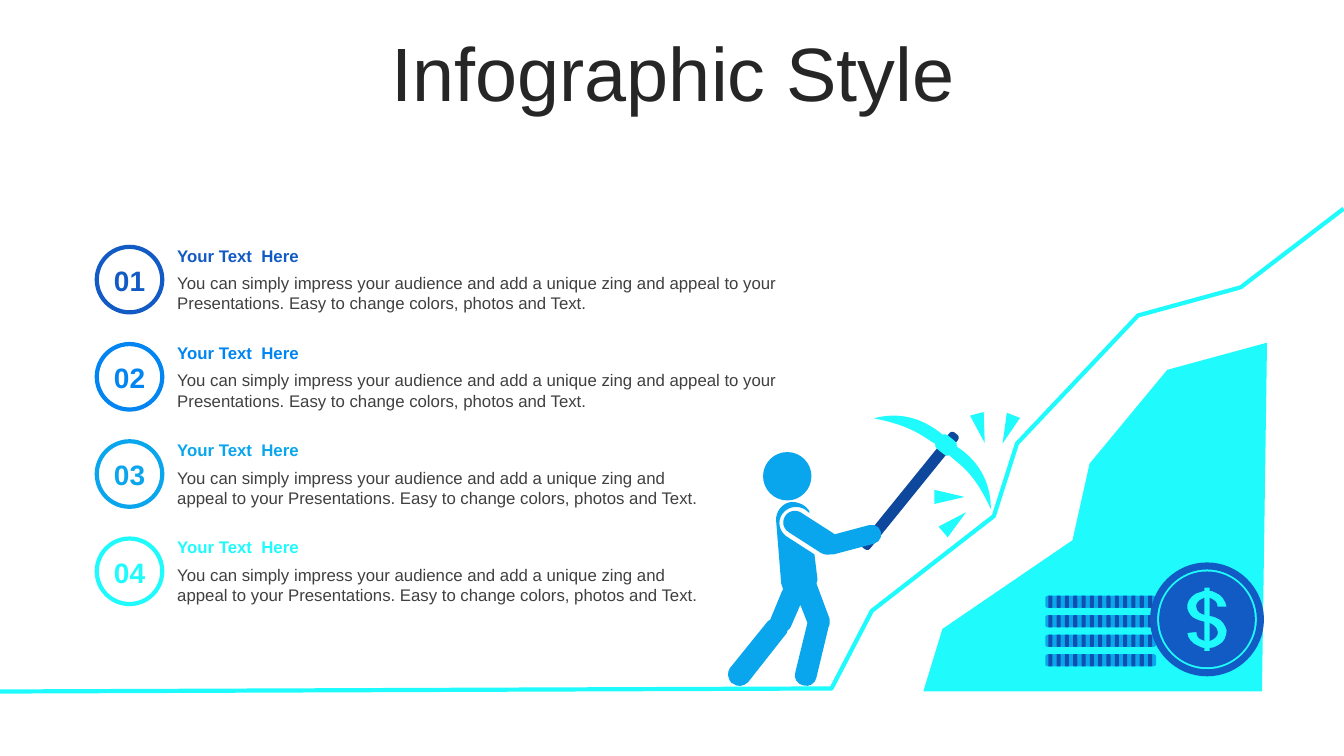
from lxml import etree
from pptx import Presentation
from pptx.dml.color import RGBColor
from pptx.enum.shapes import MSO_SHAPE
from pptx.enum.text import MSO_ANCHOR, MSO_AUTO_SIZE, PP_ALIGN
from pptx.oxml.ns import qn
from pptx.util import Inches, Pt

# Grid: square cells, 750 rows on a 16:9 slide
CELL = Inches(0.01)
ROWS = 750
COLS = ROWS * 16 / 9

NAVY = RGBColor(0x0E, 0x48, 0x9D)
RIDGE_BLUE = RGBColor(0x10, 0x51, 0xB0)
ROYAL = RGBColor(0x12, 0x5A, 0xC4)
AZURE = RGBColor(0x00, 0x85, 0xF2)
SKY = RGBColor(0x0A, 0xA6, 0xED)
CYAN = RGBColor(0x1F, 0xFB, 0xFD)
TITLE_GREY = RGBColor(0x26, 0x26, 0x26)
TEXT_GREY = RGBColor(0x40, 0x40, 0x40)

HEADING = "Your Text  Here"
BODY = ("You can simply impress your audience and add a unique zing and appeal "
        "to your Presentations. Easy to change colors, photos and Text.")


def cells(*values):
    return [round(v * CELL) for v in values]


def paint(sp, fill=None, line=None):
    """Set fill and 3 pt outline; None leaves the part empty."""
    sp.shadow.inherit = False
    if fill is None:
        sp.fill.background()
    else:
        sp.fill.solid()
        sp.fill.fore_color.rgb = fill
    if line is None:
        sp.line.fill.background()
    else:
        sp.line.color.rgb = line
        sp.line.width = Pt(3)


def add_preset(s, kind, box, fill=None, line=None, turn=0, round_by=None):
    sp = s.shapes.add_shape(kind, *cells(*box))
    if round_by is not None:
        sp.adjustments[0] = round_by
    sp.rotation = turn
    paint(sp, fill, line)


def write(p, text, size, color, bold=False):
    r = p.add_run()
    r.text = text
    r.font.name, r.font.size, r.font.bold = "Arial", Pt(size), bold
    r.font.color.rgb = color


def add_text(s, box, text, size, color, bold=False, align=PP_ALIGN.LEFT):
    tf = s.shapes.add_textbox(*cells(*box)).text_frame
    tf.word_wrap = True
    tf.auto_size = MSO_AUTO_SIZE.SHAPE_TO_FIT_TEXT
    tf.paragraphs[0].alignment = align
    write(tf.paragraphs[0], text, size, color, bold)


def circle(cx, cy, r):
    """Four quarter curves, clockwise from the top."""
    k = 0.55 * r
    return [(cx, cy - r), (cx + k, cy - r, cx + r, cy - k, cx + r, cy),
            (cx + r, cy + k, cx + k, cy + r, cx, cy + r),
            (cx - k, cy + r, cx - r, cy + k, cx - r, cy),
            (cx - r, cy - k, cx - k, cy - r, cx, cy - r)]


def add_outline(s, box, contours, fill=None, line=None):
    """Contours hold points (x, y) and curves (x1, y1, x2, y2, x, y)."""
    x, y = box[:2]
    builder = None
    for contour in contours:
        ends = [cells(x + step[-2], y + step[-1]) for step in contour]
        if builder is None:
            builder = s.shapes.build_freeform(*ends[0])
        else:
            builder.move_to(*ends[0])
        builder.add_line_segments(ends[1:], close=fill is not None)
    sp = builder.convert_to_shape()
    paint(sp, fill, line)
    # Bend the segments that have control points
    segments = list(sp.element.iter(qn("a:lnTo")))
    steps = [step for contour in contours for step in contour[1:]]
    for segment, step in zip(segments, steps):
        if len(step) == 6:
            curve = etree.Element(qn("a:cubicBezTo"))
            for px, py in zip(step[::2], step[1::2]):
                left, top = cells(x + px, y + py)
                etree.SubElement(curve, qn("a:pt"), x=str(left - sp.left), y=str(top - sp.top))
            segment.getparent().replace(segment, curve)


def add_title(s, box):
    sp = s.shapes.title
    sp.left, sp.top, sp.width, sp.height = cells(*box)
    tf = sp.text_frame
    tf.auto_size = MSO_AUTO_SIZE.NONE
    tf.vertical_anchor = MSO_ANCHOR.MIDDLE
    p = tf.paragraphs[0]
    p.alignment, p.line_spacing = PP_ALIGN.CENTER, 0.9
    write(p, "Infographic Style", 54, TITLE_GREY)


def add_item(s, box, number, color):
    x, y, w, h = box
    add_preset(s, MSO_SHAPE.OVAL, (x, y + 6.5, 65, 65), line=color)
    add_text(s, (x + 7, y + 18, 51, 44), number, 20, color, True, PP_ALIGN.CENTER)
    add_text(s, (x + 70, y, w - 70, 30), HEADING, 12, color, True)
    add_text(s, (x + 70, y + 27.5, w - 70, h - 28), BODY, 12, TEXT_GREY)


def add_mountain(s, box):
    # Ground and slope line, then the rock inside
    add_outline(s, box, [[(0, 486), (825, 483), (865, 406), (986, 312), (1009, 240),
                          (1129, 113), (1231, 85), (1333, 7)]], line=CYAN)
    add_outline(s, box, [[(1257, 140), (1158, 167), (1081, 260), (1064, 336),
                          (935, 424), (916, 486), (1252, 486)]], fill=CYAN)


def add_pickaxe(s, box):
    x, y = box[:2]
    add_preset(s, MSO_SHAPE.ROUNDED_RECTANGLE, (x + 97, y + 14, 11, 146), NAVY,
               turn=39, round_by=0.34)
    add_preset(s, MSO_SHAPE.ROUNDED_RECTANGLE, (x + 129, y + 33, 19, 17), CYAN,
               turn=39, round_by=0.28)
    # Lower and upper blades
    add_outline(s, box, [[(149, 43), (162, 51, 183, 70, 183, 105),
                          (166, 68, 153, 62, 142, 52)]], fill=CYAN)
    add_outline(s, box, [[(136, 32), (124, 22, 101, 6, 67, 15),
                          (107, 23, 116, 34, 129, 41)]], fill=CYAN)


def add_miner(s, box):
    x, y = box[:2]
    body = [(85, 98), (93, 98, 99, 101, 103, 107), (103, 109), (98, 105),
            (90, 101, 81, 103, 76, 110), (71, 117, 73, 127, 80, 132),
            (108, 150), (111, 175), (110, 179), (123, 214),
            (123, 215, 123, 217, 123, 218), (123, 219, 123, 221, 122, 222),
            (110, 272), (109, 278, 103, 282, 97, 280), (91, 279, 87, 273, 89, 267),
            (101, 218), (94, 200), (84, 223), (81, 226),
            (81, 228, 80, 229, 79, 230), (42, 277), (38, 281, 31, 282, 27, 278),
            (26, 278), (22, 274, 21, 267, 24, 263), (62, 216), (64, 215),
            (76, 186), (77, 185), (75, 179), (70, 117), (69, 108, 76, 99, 85, 98)]
    add_outline(s, box, [body, circle(81, 72.5, 24)], fill=SKY)
    # Upper arm and forearm
    for arm, turn in (((93, 98, 23, 61), 302.7), ((135, 105, 19, 61), 255.1)):
        dx, dy, w, h = arm
        add_preset(s, MSO_SHAPE.ROUNDED_RECTANGLE, (x + dx, y + dy, w, h), SKY,
                   turn=turn, round_by=0.5)


def add_coin_stack(s, box):
    x, y, w, h = box
    thick = 12
    pitch = (h - thick) / 3
    for row in reversed(range(4)):
        top = y + row * pitch
        add_preset(s, MSO_SHAPE.ROUNDED_RECTANGLE, (x, top, w, thick), SKY, round_by=0.2)
        for ridge in range(13):
            add_preset(s, MSO_SHAPE.ROUNDED_RECTANGLE,
                       (x + 3 + ridge * 8.25, top, 4, thick), RIDGE_BLUE, round_by=0.2)


def add_sparks(s, box):
    x, y = box[:2]
    for dx, dy, turn in ((5, 93, 49.3), (0, 68, 90), (31, 0, 165), (58, 1, 201.1)):
        add_preset(s, MSO_SHAPE.ISOSCELES_TRIANGLE, (x + dx, y + dy, 14, 30), CYAN, turn=turn)


def add_dollar_coin(s, box):
    lower_gap = [(59, 60), (63, 62, 66, 64, 67, 68), (68, 71, 66, 74, 63, 76),
                 (62, 77, 60, 77, 59, 78)]
    upper_gap = [(54, 35), (54, 52), (50, 51, 47, 49, 46, 45),
                 (45, 42, 47, 39, 50, 37), (51, 36, 52, 36, 54, 35)]
    dollar = [(54, 25), (54, 28), (51, 29, 48, 30, 45, 31), (39, 35, 36, 40, 37, 46),
              (40, 56, 47, 57, 54, 59), (54, 78), (53, 77, 52, 77, 52, 77),
              (48, 76, 46, 73, 46, 69), (37, 70), (37, 75, 42, 81, 48, 83),
              (50, 84, 52, 85, 54, 85), (54, 88), (59, 88), (59, 85),
              (62, 85, 65, 84, 68, 82), (74, 79, 76, 73, 76, 67),
              (73, 57, 66, 54, 59, 53), (59, 35), (60, 36, 60, 36, 61, 36),
              (65, 38, 67, 40, 67, 44), (76, 44), (75, 38, 71, 32, 65, 30),
              (63, 29, 61, 28, 59, 28), (59, 25)]
    rings = [circle(56.5, 56.5, radius) for radius in (47.5, 49.5, 56.5)]
    add_outline(s, box, [lower_gap, upper_gap, dollar, *rings], fill=ROYAL)


def main():
    prs = Presentation()
    prs.slide_width, prs.slide_height = cells(COLS, ROWS)
    s = prs.slides.add_slide(prs.slide_layouts[5])
    add_title(s, (35, 37, 1266, 79))
    # The two lower items are narrower, to clear the miner
    items = ((ROYAL, 692), (AZURE, 692), (SKY, 611), (CYAN, 611))
    for i, (color, width) in enumerate(items):
        add_item(s, (96, 238.4 + i * 96.45, width, 78), f"{i + 1:02}", color)
    add_mountain(s, (0, 200, COLS, 486))
    add_pickaxe(s, (800, 400, 183, 160))
    add_miner(s, (700, 400, 190, 282))
    add_coin_stack(s, (1037, 591, 110, 70))
    add_sparks(s, (935, 410, 75, 125))
    add_dollar_coin(s, (1141, 558, 113, 113))
    prs.save("out.pptx")


if __name__ == "__main__":
    main()
